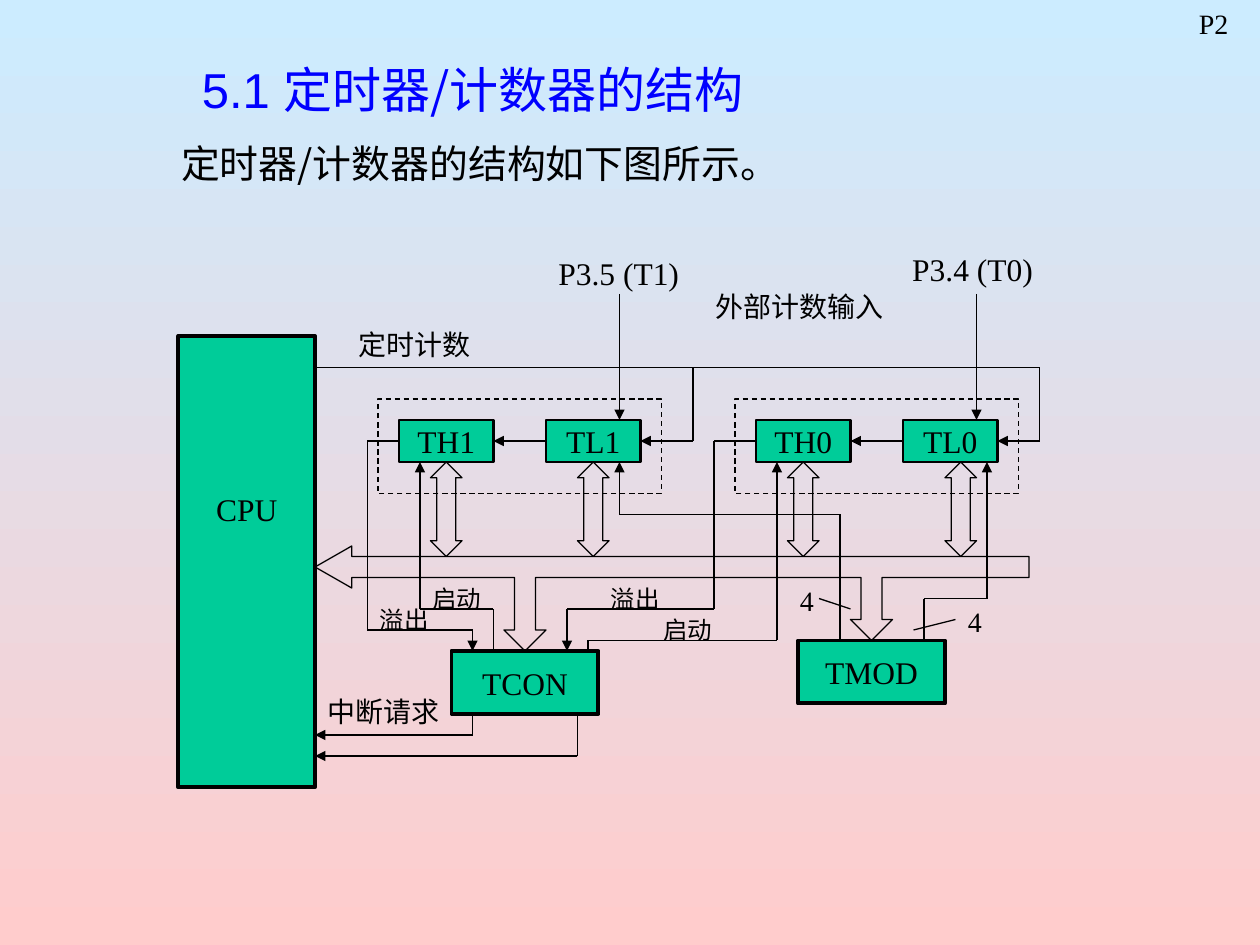
import itertools

import pptx
import pptx.dml.color
import pptx.enum.dml
import pptx.enum.shapes
import pptx.enum.text
import pptx.oxml.ns
import pptx.util
from lxml import etree
from pptx.util import Cm, Pt

COLORS = {
    "sky": "CCECFF",
    "rose": "FFCCCC",
    "title": "0000FF",
    "ink": "000000",
    "block": "00CC99",
}
GRID = 2.54 / 12
LATIN = "Times New Roman"
CJK = "Noto Sans CJK SC"
SHAPE = pptx.enum.shapes.MSO_SHAPE
DASH = pptx.enum.dml.MSO_LINE.DASH
MIDDLE = pptx.enum.text.MSO_ANCHOR.MIDDLE
ALIGN = pptx.enum.text.PP_ALIGN
LEFT, RIGHT = 1, 3

BUS = [(33.5, 52), (30, 54), (33.5, 56), (33.5, 55), (49, 55), (49, 60), (48, 60),
       (50, 62), (52, 60), (51, 60), (51, 55), (82, 55), (82, 59), (81, 59), (83, 61),
       (85, 59), (84, 59), (84, 55), (98, 55), (98, 53), (33.5, 53)]

ARROW_WIRES = [
    [(59, 28), (59, 40)],
    [(93, 28), (93, 40)],
    [(45, 68), (45, 70), (30, 70)],
    [(55, 68), (55, 72), (30, 72)],
    [(56, 62), (56, 61), (74, 61), (74, 44)],
    [(47, 62), (47, 58), (40, 58), (40, 44)],
    [(88, 61), (88, 57), (94, 57), (94, 44)],
    [(80, 61), (80, 49), (59, 49), (59, 44)],
]
PLAIN_WIRES = [
    [(87, 60), (91, 59)],
    [(78, 57), (81, 58)],
]
LABELS = [
    ("P2", 113, 0, 7, 16),
    ("P3.5 (T1)", 52, 23.6, 14.4, 18),
    ("P3.4 (T0)", 85.7, 23.2, 14.4, 18),
    ("外部计数输入", 67, 27, 20, 16),
    ("定时计数", 33, 30.6, 14, 16),
    ("中断请求", 30, 65.6, 14, 16),
    ("4", 91, 57, 4, 16),
    ("4", 75, 55, 4, 16),
    ("启动", 40, 55, 9, 14),
    ("启动", 62, 58, 9, 14),
    ("溢出", 35, 57, 9, 14),
    ("溢出", 57, 55, 9, 14),
]


def grid(*values):
    return [Cm(v * GRID) for v in values]


def rgb(name):
    return pptx.dml.color.RGBColor.from_string(COLORS[name])


def format_run(r, size, font, color="ink"):
    r.font.size = Pt(size)
    r.font.name = font
    r.font.color.rgb = rgb(color)


def set_margins(tf, size):
    tf.margin_left = tf.margin_right = tf.margin_top = tf.margin_bottom = size


def set_background(s):
    fill = s.background.fill
    fill.gradient()
    fill.gradient_angle = 270
    for stop, name in zip(fill.gradient_stops, ("sky", "rose")):
        stop.color.rgb = rgb(name)


def set_title(s):
    sp = s.shapes.title
    sp.left, sp.top, sp.width, sp.height = grid(12, 5, 66, 7)
    tf = sp.text_frame
    tf.auto_size = pptx.enum.text.MSO_AUTO_SIZE.NONE
    tf.vertical_anchor = MIDDLE
    set_margins(tf, 0)
    p = tf.paragraphs[0]
    p.alignment = ALIGN.CENTER
    for text, font in (("5.1 ", "Arial"), ("定时器/计数器的结构", CJK)):
        r = p.add_run()
        r.text = text
        format_run(r, 28, font, "title")


def add_intro(s):
    tf = s.shapes.add_textbox(Cm(3.65), Cm(3), Cm(14.35), Cm(1.1)).text_frame
    tf.word_wrap = True
    set_margins(tf, 0)
    tf.text = "定时器/计数器的结构如下图所示。"
    p = tf.paragraphs[0]
    p.line_spacing = 0.8
    format_run(p.runs[0], 22.2, CJK)


def add_label(s, text, x, y, w, size):
    tf = s.shapes.add_textbox(*grid(x, y, w, 4.5)).text_frame
    tf.word_wrap = True
    tf.text = text
    format_run(tf.paragraphs[0].runs[0], size, LATIN)


def outline(sp, width=0.75):
    sp.shadow.inherit = False
    sp.fill.background()
    sp.line.color.rgb = rgb("ink")
    sp.line.width = Pt(width)


def add_block(s, text, x, y, w, h, width=2.25, lift=0):
    sp = s.shapes.add_shape(SHAPE.RECTANGLE, *grid(x, y, w, h))
    outline(sp, width)
    sp.fill.solid()
    sp.fill.fore_color.rgb = rgb("block")
    tf = sp.text_frame
    tf.vertical_anchor = MIDDLE
    set_margins(tf, 0)
    tf.margin_bottom = Cm(lift * GRID)
    tf.text = text
    p = tf.paragraphs[0]
    p.alignment = ALIGN.CENTER
    format_run(p.runs[0], 18, LATIN)
    return sp


def add_bus(s):
    points = [tuple(grid(x, y)) for x, y in BUS]
    builder = s.shapes.build_freeform(*points[0])
    builder.add_line_segments(points[1:], close=True)
    outline(builder.convert_to_shape())


def add_wire(s, points, arrow=True, start=None, end=None):
    segments = []
    for a, b in itertools.pairwise(points):
        line = s.shapes.add_connector(
            pptx.enum.shapes.MSO_CONNECTOR.STRAIGHT, *grid(*a, *b))
        line.line.color.rgb = rgb("ink")
        line.line.width = Pt(0.75)
        etree.SubElement(line._element.spPr, pptx.oxml.ns.qn("a:effectLst"))
        segments.append(line)
    if start:
        segments[0].begin_connect(*start)
    if end:
        segments[-1].end_connect(*end)
    if arrow:
        ln = segments[-1].line._get_or_add_ln()
        etree.SubElement(ln, pptx.oxml.ns.qn("a:tailEnd"), type="triangle")


def add_timer(s, number, x, bus_arrows):
    frame = s.shapes.add_shape(SHAPE.RECTANGLE, *grid(x, 38, 27, 9))
    outline(frame)
    frame.line.dash_style = DASH
    high = add_block(s, f"TH{number}", x + 2, 40, 9, 4, 1.5)
    low = add_block(s, f"TL{number}", x + 16, 40, 9, 4, 1.5)
    add_wire(s, [(x + 16, 42), (x + 11, 42)], start=(low, LEFT), end=(high, RIGHT))
    for left in bus_arrows:
        sp = s.shapes.add_shape(SHAPE.UP_DOWN_ARROW, *grid(left, 44, 3, 9))
        sp.adjustments[0], sp.adjustments[1] = 0.5, 0.6
        outline(sp)
    return high, low


def main():
    prs = pptx.Presentation()
    prs.slide_width, prs.slide_height = Cm(25.4), Cm(19.05)
    s = prs.slides.add_slide(prs.slide_layouts[5])
    set_background(s)
    set_title(s)
    add_intro(s)

    th1, tl1 = add_timer(s, 1, 36, (41, 55))
    th0, tl0 = add_timer(s, 0, 70, (75, 90))
    add_block(s, "TCON", 43, 62, 14, 6)
    add_block(s, "TMOD", 76, 61, 14, 6)
    add_bus(s)
    add_block(s, "CPU", 17, 32, 13, 43, lift=10)

    add_wire(s, [(30, 35), (99, 35), (99, 42), (95, 42)], end=(tl0, RIGHT))
    add_wire(s, [(66, 35), (66, 42), (61, 42)], end=(tl1, RIGHT))
    add_wire(s, [(38, 42), (35, 42), (35, 60), (45, 60), (45, 62)], start=(th1, LEFT))
    add_wire(s, [(72, 42), (68, 42), (68, 58), (54, 58), (54, 62)], start=(th0, LEFT))
    for points in ARROW_WIRES:
        add_wire(s, points)
    for points in PLAIN_WIRES:
        add_wire(s, points, arrow=False)
    for label in LABELS:
        add_label(s, *label)
    prs.save("out.pptx")


if __name__ == "__main__":
    main()
